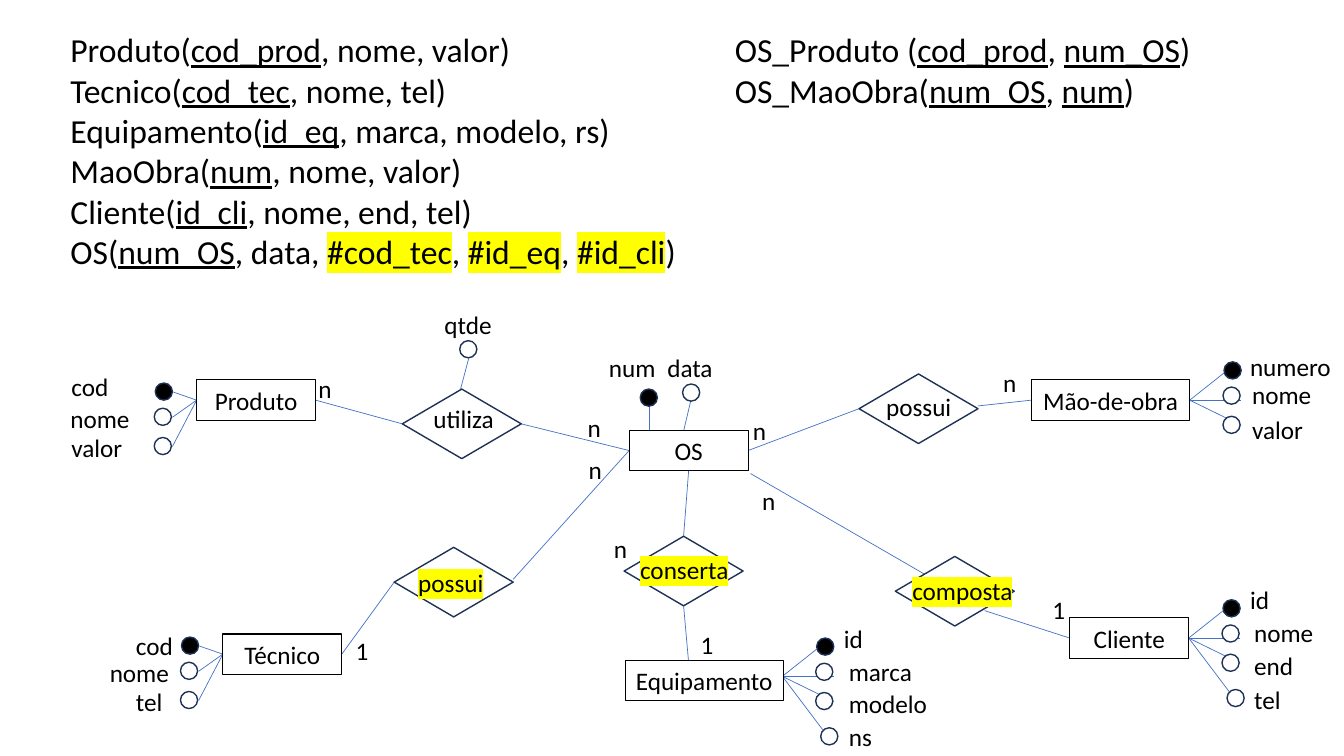
from lxml.etree import SubElement
from pptx import Presentation
from pptx.dml.color import RGBColor
from pptx.enum.shapes import MSO_CONNECTOR, MSO_SHAPE
from pptx.enum.text import MSO_ANCHOR, PP_ALIGN
from pptx.oxml.ns import qn
from pptx.util import Inches, Pt

BLACK = RGBColor(0x00, 0x00, 0x00)
WHITE = RGBColor(0xFF, 0xFF, 0xFF)
NAVY = RGBColor(0x1E, 0x32, 0x56)
BLUE = RGBColor(0x44, 0x72, 0xC4)
YELLOW = RGBColor(0xFF, 0xFF, 0x00)

FONT = "Calibri"
ROW = 0.4
DOT = 0.17
ENTITY_WIDTH = 1.18
WIDE_ENTITY = 1.57
DIAMOND = (1.18, 0.69)

# Fields between bars are underlined keys; those starting with # are highlighted.
SCHEMAS = [
    ((0.6, 0.24, 6.53, 2.52), [
        "Produto(|cod_prod|, nome, valor)",
        "Tecnico(|cod_tec|, nome, tel)",
        "Equipamento(|id_eq|, marca, modelo, rs)",
        "MaoObra(|num|, nome, valor)",
        "Cliente(|id_cli|, nome, end, tel)",
        "OS(|num_OS|, data, |#cod_tec|, |#id_eq|, |#id_cli|)",
    ]),
    ((7.19, 0.24, 5, 0.91), [
        "OS_Produto (|cod_prod|, |num_OS|)",
        "OS_MaoObra(|num_OS|, |num|)",
    ]),
]

ENTITIES = {
    "Produto": (1.95, 3.77, ENTITY_WIDTH, ROW),
    "OS": (6.24, 4.27, ENTITY_WIDTH, ROW),
    "Técnico": (2.21, 6.29, ENTITY_WIDTH, ROW),
    "Mão-de-obra": (10.23, 3.77, WIDE_ENTITY, ROW),
    "Cliente": (10.61, 6.13, ENTITY_WIDTH, ROW),
    "Equipamento": (6.2, 6.55, WIDE_ENTITY, ROW),
}

RELATIONSHIPS = {
    "utiliza": (3.99, 3.86, *DIAMOND),
    "possui mão-de-obra": (8.52, 3.71, *DIAMOND),
    "possui técnico": (3.91, 5.43, *DIAMOND),
    "conserta": (6.19, 5.32, *DIAMOND),
    "composta": (8.88, 5.52, *DIAMOND),
}

RELATIONSHIP_LABELS = [
    ("utiliza", 4.2, 3.95, 1.1, False),
    ("possui", 8.69, 3.83, 1.26, False),
    ("possui", 4.05, 5.58, 1.26, True),
    ("conserta", 6.25, 5.45, 1.1, True),
    ("composta", 8.95, 5.66, 1.26, True),
]

LEFT, RIGHT, TOP, BOTTOM = (0, 0.5), (1, 0.5), (0.5, 0), (0.5, 1)
LINKS = [
    ("Produto", RIGHT, "utiliza", LEFT),
    ("utiliza", RIGHT, "OS", LEFT),
    ("OS", RIGHT, "possui mão-de-obra", LEFT),
    ("possui mão-de-obra", (1, 0.46), "Mão-de-obra", LEFT),
    ("Técnico", RIGHT, "possui técnico", LEFT),
    ("possui técnico", (1, 0.46), "OS", LEFT),
    ("OS", BOTTOM, "conserta", TOP),
    ("conserta", BOTTOM, "Equipamento", (0.4, 0)),
    ("OS", (1.02, 1.07), "composta", (0.24, 0.25)),
    ("composta", (0.75, 0.78), "Cliente", LEFT),
]

CARDINALITIES = [
    ("n", 3.06, 3.65), ("n", 5.73, 4.04), ("n", 7.37, 4.07), ("n", 9.85, 3.59),
    ("n", 5.74, 4.46), ("n", 7.46, 4.77), ("n", 5.99, 5.24),
    ("1", 3.43, 6.25), ("1", 6.85, 6.19), ("1", 10.34, 5.85),
]

LEFT_FAN = [((-0.41, -0.17), (-0.23, -0.08)), ((-0.42, 0.08), (-0.24, 0.17)),
            ((-0.42, 0.37), (-0.24, 0.46))]
RIGHT_FAN = [((0.34, -0.38), (0.34, -0.27)), ((0.33, -0.13), (0.51, 0)),
             ((0.33, 0.16), (0.51, 0.25)), ((0.38, 0.51), (0.4, 0.53))]
ATTRIBUTE_FANS = [
    ((1.95, 3.97), LEFT_FAN,
     [("cod", 0.61, 3.63, 1.03), ("nome", 0.6, 3.95, 0.87), ("valor", 0.61, 4.24, 0.86)]),
    ((2.21, 6.49), LEFT_FAN,
     [("cod", 1.25, 6.2, 0.58), ("nome", 0.99, 6.47, 0.82), ("tel", 1.25, 6.76, 0.48)]),
    ((11.8, 3.97), RIGHT_FAN,
     [("numero", 12.3, 3.44, 1.03), ("nome", 12.32, 3.71, 0.93), ("valor", 12.32, 4.06, 0.93)]),
    ((11.79, 6.33), RIGHT_FAN,
     [("id", 12.3, 5.75, 0.72), ("nome", 12.34, 6.08, 0.84),
      ("end", 12.34, 6.4, 0.72), ("tel", 12.34, 6.74, 0.48)]),
    ((7.76, 6.71), RIGHT_FAN,
     [("id", 8.27, 6.13, 0.72), ("marca", 8.32, 6.46, 0.84),
      ("modelo", 8.32, 6.78, 1.18), ("ns", 8.32, 7.11, 0.48)]),
]

SINGLE_ATTRIBUTES = [
    (("num", 5.94, 3.45, 0.85), (6.35, 3.86), (6.44, 4.02), (6.44, 4.27), True),
    (("data", 6.52, 3.45, 0.85), (6.77, 3.81), (6.85, 3.98), (6.77, 4.32), False),
    (("qtde", 4.31, 3.02, 0.85), (4.56, 3.38), (4.65, 3.55), (4.56, 3.89), False),
]

presentation = Presentation()
presentation.slide_width = Inches(13.33)
presentation.slide_height = Inches(7.5)
slide = presentation.slides.add_slide(presentation.slide_layouts[6])


def format_run(run, size, highlighted=False):
    run.font.size = Pt(size)
    run.font.color.rgb = BLACK
    if highlighted:
        highlight = SubElement(run.font._element, qn("a:highlight"))
        SubElement(highlight, qn("a:srgbClr"), val=str(YELLOW))
    run.font.name = FONT


def add_line(start, end):
    line = slide.shapes.add_connector(
        MSO_CONNECTOR.STRAIGHT, *(Inches(value) for value in (*start, *end)))
    line.line.color.rgb = BLUE
    line.line.width = Pt(0.5)
    SubElement(line._element.spPr, qn("a:effectLst"))


def add_figure(kind, box, fill, outline, weight):
    shape = slide.shapes.add_shape(kind, *(Inches(value) for value in box))
    shape.shadow.inherit = False
    shape.fill.solid()
    shape.fill.fore_color.rgb = fill
    shape.line.color.rgb = outline
    shape.line.width = Pt(weight)
    return shape


def add_dot(left, top, is_key):
    add_figure(MSO_SHAPE.OVAL, (left, top, DOT, DOT), BLACK if is_key else WHITE, NAVY, 1)


def add_text_frame(box):
    text_frame = slide.shapes.add_textbox(*(Inches(value) for value in box)).text_frame
    text_frame.word_wrap = True
    return text_frame


def add_label(text, left, top, width, highlighted=False):
    text_frame = add_text_frame((left, top, width, ROW))
    text_frame.text = text
    format_run(text_frame.paragraphs[0].runs[0], 18, highlighted)


def add_schema(box, relations):
    text_frame = add_text_frame(box)
    for row, relation in enumerate(relations):
        paragraph = text_frame.add_paragraph() if row else text_frame.paragraphs[0]
        for position, part in enumerate(relation.split("|")):
            is_field = position % 2 == 1
            is_foreign = part.startswith("#")
            run = paragraph.add_run()
            run.text = part
            format_run(run, 24, is_foreign)
            if is_field and not is_foreign:
                run.font.underline = True


def site(name, share):
    left, top, width, height = (ENTITIES | RELATIONSHIPS)[name]
    return left + share[0] * width, top + share[1] * height


def shift(point, offset):
    return point[0] + offset[0], point[1] + offset[1]


for origin, origin_share, target, target_share in LINKS:
    add_line(site(origin, origin_share), site(target, target_share))

for anchor, fan, labels in ATTRIBUTE_FANS:
    for position, (label, (dot, line_end)) in enumerate(zip(labels, fan)):
        add_line(anchor, shift(anchor, line_end))
        add_dot(*shift(anchor, dot), position == 0)
        add_label(*label)

for label, dot, start, end, is_key in SINGLE_ATTRIBUTES:
    add_line(start, end)
    add_dot(*dot, is_key)
    add_label(*label)

for name, box in ENTITIES.items():
    entity = add_figure(MSO_SHAPE.RECTANGLE, box, WHITE, BLACK, 0.75)
    entity.text_frame.text = name
    entity.text_frame.vertical_anchor = MSO_ANCHOR.TOP
    entity.text_frame.paragraphs[0].alignment = PP_ALIGN.CENTER
    format_run(entity.text_frame.paragraphs[0].runs[0], 18)

for box in RELATIONSHIPS.values():
    add_figure(MSO_SHAPE.DIAMOND, box, WHITE, NAVY, 1)

for label in RELATIONSHIP_LABELS:
    add_label(*label)

for text, left, top in CARDINALITIES:
    add_label(text, left, top, 0.34)

for box, relations in SCHEMAS:
    add_schema(box, relations)

presentation.save("out.pptx")
